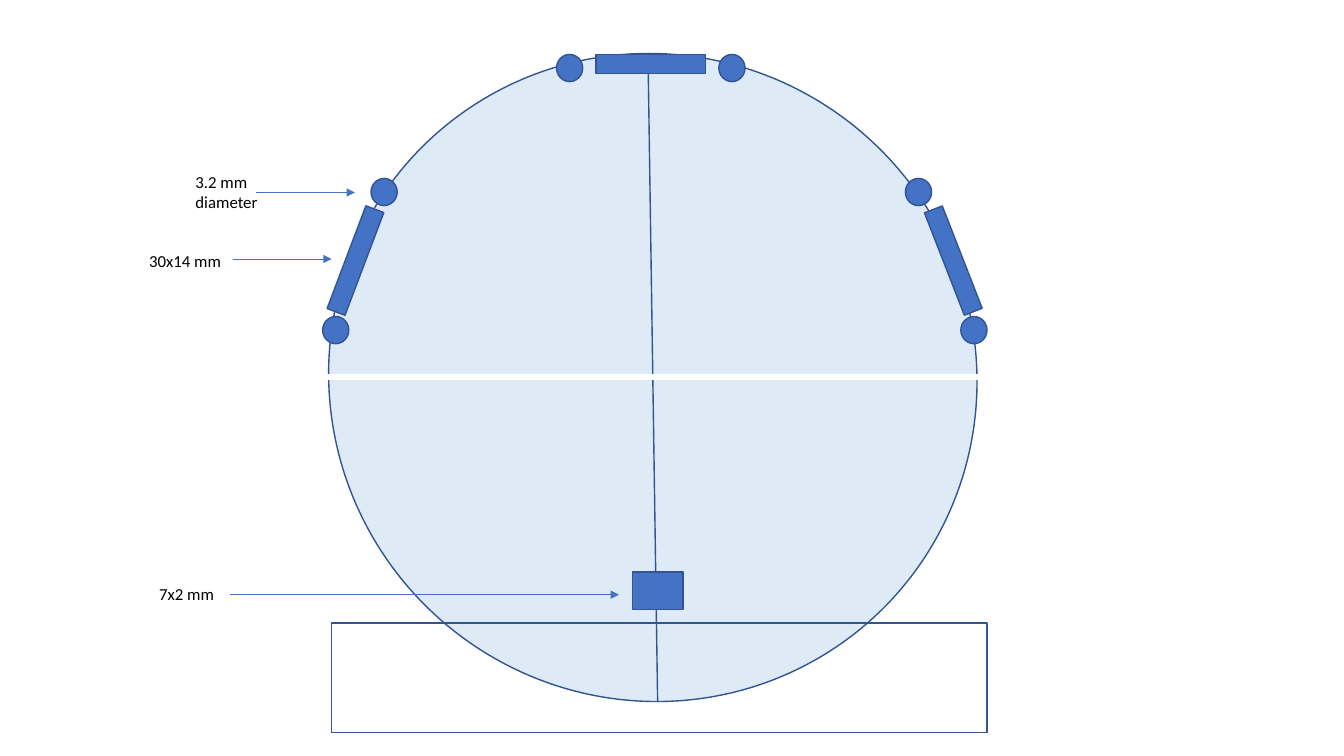
from lxml.etree import SubElement
from pptx import Presentation
from pptx.dml.color import RGBColor
from pptx.enum.shapes import MSO_CONNECTOR, MSO_SHAPE
from pptx.oxml.ns import qn
from pptx.util import Inches, Pt

PALE_BLUE = RGBColor(0xDE, 0xEB, 0xF7)
BLUE = RGBColor(0x44, 0x72, 0xC4)
OUTLINE = RGBColor(0x32, 0x54, 0x91)
WHITE = RGBColor(0xFF, 0xFF, 0xFF)
BLACK = RGBColor(0x00, 0x00, 0x00)

BAR_SIZE = (1.09, 0.19)
DOT_SIZE = (0.26, 0.27)
# Offsets from the disc: bar position, bar angle, positions of its two dots
STATIONS = [
    ((2.67, -0.01), 0, [(2.28, -0.01), (3.89, -0.01)]),
    ((5.67, 1.94), 68.7, [(5.74, 1.22), (6.29, 2.59)]),
    ((-0.26, 1.94), 110.7, [(0.44, 1.22), (-0.04, 2.59)]),
]
# Text, label box, arrow start, arrow length
CALLOUTS = [
    ("3.2 mm diameter", (1.84, 1.65, 0.9, 0.5), (2.54, 1.91), 0.98),
    ("30x14 mm", (1.38, 2.44, 1.09, 0.3), (2.31, 2.57), 0.98),
    ("7x2 mm", (1.48, 5.74, 1.09, 0.3), (2.28, 5.9), 3.86),
]


def add_part(slide, preset, box, fill=BLUE, angle=0):
    """Add an outlined preset shape; a fill of None leaves it hollow."""
    part = slide.shapes.add_shape(preset, *map(Inches, box))
    part.shadow.inherit = False
    part.rotation = angle
    if fill is None:
        part.fill.background()
    else:
        part.fill.solid()
        part.fill.fore_color.rgb = fill
    part.line.color.rgb = OUTLINE
    part.line.width = Pt(1)


def add_level_line(slide, start, length, color, weight, arrow=False):
    """Draw a horizontal line to the right, optionally with an arrowhead."""
    x, y = start
    line = slide.shapes.add_connector(
        MSO_CONNECTOR.STRAIGHT, Inches(x), Inches(y), Inches(x + length), Inches(y))
    line.line.color.rgb = color
    line.line.width = Pt(weight)
    if arrow:
        SubElement(line.line._get_or_add_ln(), qn("a:tailEnd"), type="triangle")
    SubElement(line._element.spPr, qn("a:effectLst"))


def draw_disc(slide, left, top, width, height):
    """Draw the disc with its bars and dots around the rim."""
    add_part(slide, MSO_SHAPE.FLOWCHART_SUMMING_JUNCTION,
             (left, top, width, height), PALE_BLUE, 44.5)
    for (bar_x, bar_y), angle, dots in STATIONS:
        add_part(slide, MSO_SHAPE.RECTANGLE,
                 (left + bar_x, top + bar_y, *BAR_SIZE), angle=angle)
        for dot_x, dot_y in dots:
            add_part(slide, MSO_SHAPE.OVAL, (left + dot_x, top + dot_y, *DOT_SIZE))


def draw_base(slide, left, top, width, height):
    """Draw the hollow base and the small block standing above it."""
    add_part(slide, MSO_SHAPE.RECTANGLE, (left, top, width, height), None)
    add_part(slide, MSO_SHAPE.RECTANGLE, (left + 3.05, top - 0.57, 0.37, 0.5), angle=270)


def draw_callout(slide, text, box, arrow_start, arrow_length):
    """Draw a dimension label in its box and the arrow to the part."""
    add_level_line(slide, arrow_start, arrow_length, BLUE, 0.5, arrow=True)
    label = slide.shapes.add_textbox(*map(Inches, box)).text_frame
    label.word_wrap = True
    run = label.paragraphs[0].add_run()
    run.text = text
    run.font.name = "Calibri"
    run.font.size = Pt(12)
    run.font.color.rgb = BLACK


def main():
    """Build the slide and save it."""
    deck = Presentation()
    deck.slide_width, deck.slide_height = Inches(13.33), Inches(7.5)
    slide = deck.slides.add_slide(deck.slide_layouts[6])
    draw_disc(slide, 3.24, 0.55, 6.47, 6.39)
    draw_base(slide, 3.29, 6.18, 6.5, 1.09)
    add_level_line(slide, (2.1, 3.74), 9.23, WHITE, 4.5)
    for callout in CALLOUTS:
        draw_callout(slide, *callout)
    deck.save("out.pptx")


main()
